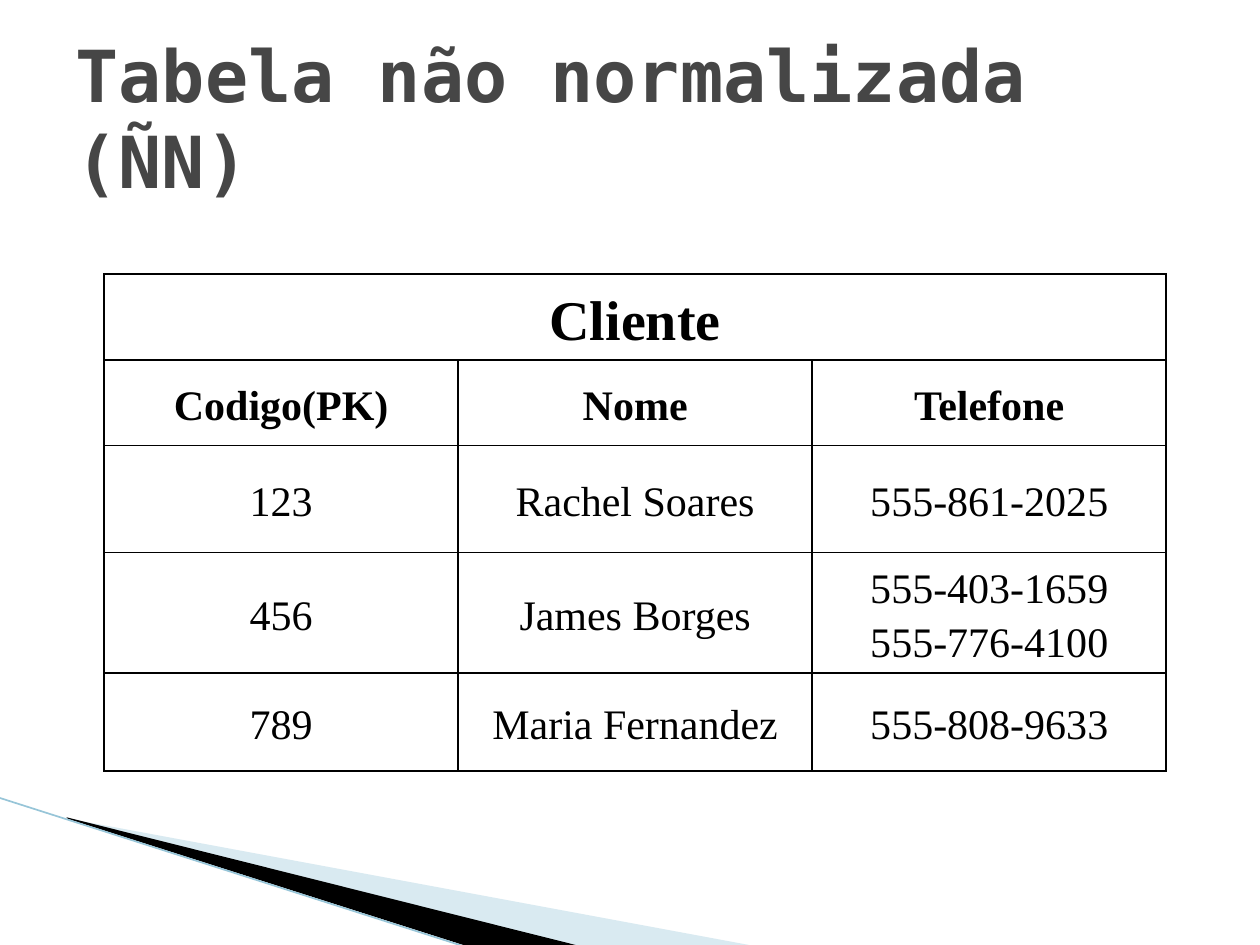
from lxml.etree import SubElement
from pptx import Presentation
from pptx.dml.color import RGBColor
from pptx.enum.shapes import MSO_CONNECTOR
from pptx.enum.text import MSO_ANCHOR, MSO_AUTO_SIZE, PP_ALIGN
from pptx.oxml import parse_xml
from pptx.oxml.ns import qn
from pptx.util import Pt

BLACK = RGBColor(0x00, 0x00, 0x00)
GRAY = RGBColor(0x46, 0x46, 0x46)
PALE = RGBColor(0xA0, 0xCB, 0xDC)
TEAL = RGBColor(0x97, 0xC5, 0xD8)
MONO = "DejaVu Sans Mono"
SERIF = "Times New Roman"
SPACE = "http://schemas.openxmlformats.org/drawingml/2006/main"
ROWS = [
    ["Cliente", "", ""],
    ["Codigo(PK)", "Nome", "Telefone"],
    ["123", "Rachel Soares", "555-861-2025"],
    ["456", "James Borges", "555-403-1659\n555-776-4100"],
    ["789", "Maria Fernandez", "555-808-9633"],
]
HIGHS = [49, 49, 61, 69, 56]


def write(frame, text, size=24, font=SERIF, color=BLACK, bold=False, align=None, lead=None):
    """Put one formatted paragraph into a text frame."""
    para = frame.paragraphs[0]
    para.text = text
    para.alignment = align
    para.line_spacing = lead
    for run in para.runs:
        run.font.size = Pt(size)
        run.font.name = font
        run.font.bold = bold
        run.font.color.rgb = color


def edge(cell, width=1):
    """Draw a black border on all four sides of a cell."""
    props = cell._tc.get_or_add_tcPr()
    for spot, side in enumerate("LRTB"):
        props.insert(spot, parse_xml(
            f'<a:ln{side} xmlns:a="{SPACE}" w="{Pt(width)}"><a:solidFill>'
            f'<a:srgbClr val="{BLACK}"/></a:solidFill></a:ln{side}>'))


def add_title(slide, left, top, width, height):
    """Place the slide title in its placeholder."""
    title = slide.shapes.title
    title.left, title.top = Pt(left), Pt(top)
    title.width, title.height = Pt(width), Pt(height)
    frame = title.text_frame
    frame.word_wrap = True
    frame.auto_size = MSO_AUTO_SIZE.NONE
    frame.vertical_anchor = MSO_ANCHOR.MIDDLE
    write(frame, "Tabela não normalizada (ÑN)", size=41, font=MONO,
          color=GRAY, bold=True, align=PP_ALIGN.LEFT)


def add_grid(slide, left, top, width):
    """Place the client table with its merged heading row."""
    count = len(ROWS[0])
    table = slide.shapes.add_table(
        len(ROWS), count, Pt(left), Pt(top), Pt(width), Pt(sum(HIGHS))).table
    table.first_row = table.horz_banding = False
    for col in table.columns:
        col.width = Pt(width / count)
    for row, (high, texts) in enumerate(zip(HIGHS, ROWS)):
        table.rows[row].height = Pt(high)
        for col, text in enumerate(texts):
            cell = table.cell(row, col)
            cell.fill.background()
            cell.vertical_anchor = MSO_ANCHOR.MIDDLE
            cell.margin_left = cell.margin_right = Pt(0.75)
            cell.margin_top = cell.margin_bottom = Pt(0.75)
            edge(cell)
            write(cell.text_frame, text, size=24 if row else 32,
                  bold=row < 2, align=PP_ALIGN.CENTER, lead=1.15)
    table.cell(0, 0).merge(table.cell(0, count - 1))


def add_wedge(slide, left, top, points, color, alpha=100):
    """Draw a filled outline from points relative to its corner."""
    spots = [(left + x, top + y) for x, y in points]
    pen = slide.shapes.build_freeform(*spots[0], scale=Pt(1))
    pen.add_line_segments(spots[1:])
    wedge = pen.convert_to_shape()
    wedge.shadow.inherit = False
    wedge.fill.solid()
    wedge.fill.fore_color.rgb = color
    wedge.line.fill.background()
    if alpha < 100:
        tint = wedge._element.spPr.find(".//" + qn("a:srgbClr"))
        SubElement(tint, qn("a:alpha"), val=str(alpha * 1000))


def add_swoosh(slide, left, top):
    """Draw the corner decoration relative to its top left."""
    add_wedge(slide, left + 39.6, top + 12,
              [(0, 0.7), (388.8, 72.7), (288.7, 72.7), (0, 0)], PALE, alpha=40)
    add_wedge(slide, left + 38.2, top + 11.3,
              [(0, 0), (290.9, 73.4), (229.7, 74.1), (0.7, 0.7)], BLACK)
    line = slide.shapes.add_connector(
        MSO_CONNECTOR.STRAIGHT, Pt(left - 0.7), Pt(top),
        Pt(left + 267.1), Pt(top + 85.6))
    line.line.color.rgb = TEAL
    line.line.width = Pt(0.95)
    SubElement(line._element.spPr, qn("a:effectLst"))


def main():
    """Build and save the slide."""
    deck = Presentation()
    deck.slide_width, deck.slide_height = Pt(720), Pt(540)
    slide = deck.slides.add_slide(deck.slide_layouts[5])
    add_swoosh(slide, 0, 455.8)
    add_grid(slide, 59.5, 156.7, 607)
    add_title(slide, 36, 21.6, 648, 90)
    deck.save("out.pptx")


main()
